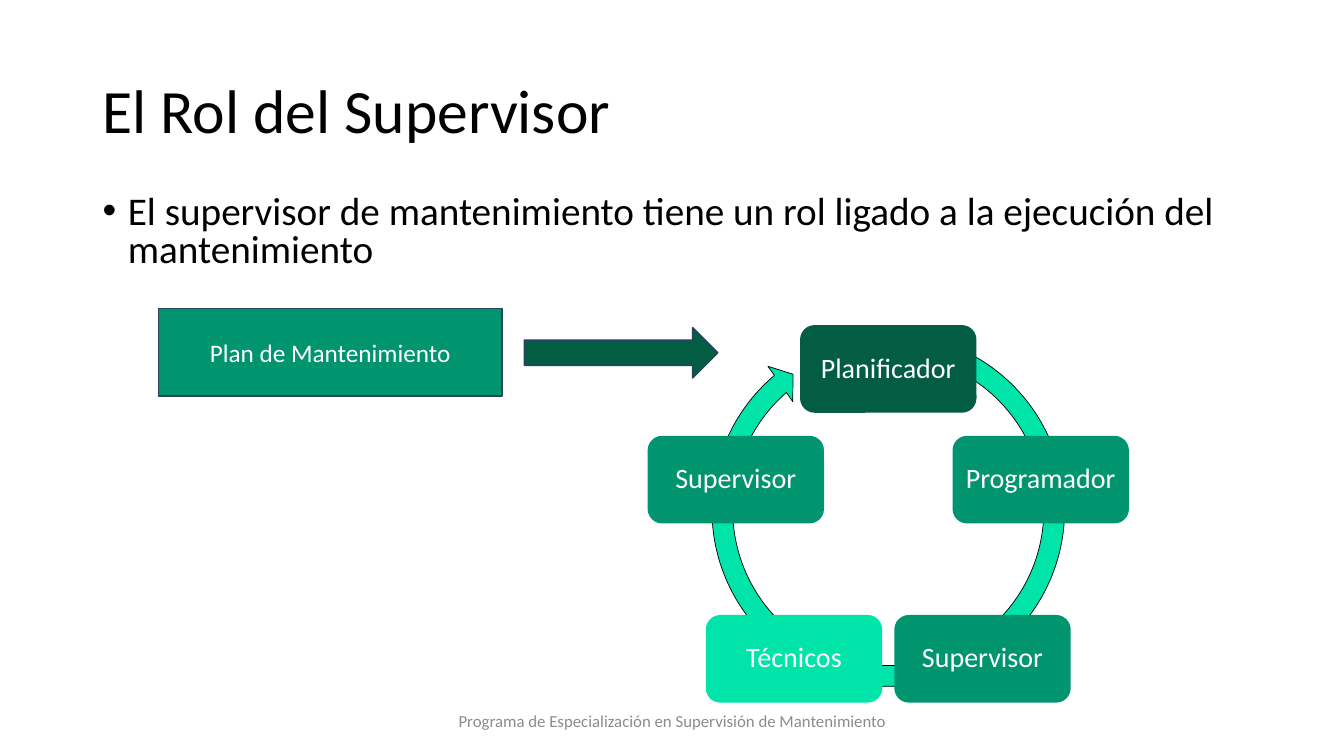
"""Build the slide on the role of the maintenance supervisor."""
import math

import lxml.etree
import pptx
import pptx.dml.color
import pptx.enum.shapes
import pptx.enum.text
import pptx.oxml.ns
import pptx.util

Inches = pptx.util.Inches
SHAPE = pptx.enum.shapes.MSO_SHAPE
ALIGN = pptx.enum.text.PP_ALIGN
ANCHOR = pptx.enum.text.MSO_ANCHOR

THEME = {
    "font": "Calibri",
    "colors": {"dark": "025D43", "green": "01956F", "mint": "00E4AA", "outline": "28445D",
               "black": "000000", "white": "FFFFFF", "gray": "8C8C8C"},
    "sizes": {"title": 44, "body": 28, "role": 20, "plan": 18, "footer": 12},
}

TEXTS = [
    {"text": "Programa de Especialización en Supervisión de Mantenimiento",
     "box": (4.42, 6.95, 4.5, 0.4), "size": "footer", "color": "gray",
     "anchor": ANCHOR.MIDDLE, "format": {"alignment": ALIGN.CENTER}},
    {"text": "El Rol del Supervisor",
     "box": (0.92, 0.4, 11.5, 1.45), "size": "title", "color": "black",
     "anchor": ANCHOR.MIDDLE, "format": {"line_spacing": 0.9}},
    {"text": "El supervisor de mantenimiento tiene un rol ligado a la ejecución del mantenimiento",
     "box": (0.92, 1.89, 11.5, 0.9), "size": "body", "color": "black",
     "anchor": ANCHOR.TOP, "format": {"line_spacing": 0.8}, "bullet": "•"},
]
ROLES = [("Planificador", "dark"), ("Programador", "green"), ("Supervisor", "green"),
         ("Técnicos", "mint"), ("Supervisor", "green")]
CYCLE = {"center": (8.81, 5.25), "radius": 1.59, "card": (1.75, 0.87), "margin": 0.08}
CYCLE_ARROW = {"box": (6.95, 3.2, 3.72, 3.72),
               "adjustments": (5544, 330680, 13767420, 17391200, 5757), "unit": 100000}
PLAN = {"text": "Plan de Mantenimiento", "box": (1.57, 3.06, 3.41, 0.87)}
PLAN_ARROW_BOX = (5.2, 3.25, 1.92, 0.5)


def color(name):
    return pptx.dml.color.RGBColor.from_string(THEME["colors"][name])


def apply(target, values):
    for name, value in values.items():
        setattr(target, name, value)


def add_bullet(paragraph, character):
    properties = paragraph._p.get_or_add_pPr()
    properties.set("marL", str(Inches(0.25)))
    properties.set("indent", str(Inches(-0.25)))
    for tag, name, value in (("a:buFont", "typeface", "Arial"), ("a:buChar", "char", character)):
        bullet = lxml.etree.SubElement(properties, pptx.oxml.ns.qn(tag))
        bullet.set(name, value)


def write(shape, text, size, color_name, anchor, paragraph_format, bullet=None):
    apply(shape.text_frame, {"word_wrap": True, "vertical_anchor": anchor})
    paragraph = shape.text_frame.paragraphs[0]
    paragraph.text = text
    apply(paragraph, paragraph_format)
    if bullet:
        add_bullet(paragraph, bullet)
    apply(paragraph.font, {"name": THEME["font"], "size": pptx.util.Pt(THEME["sizes"][size])})
    paragraph.font.color.rgb = color(color_name)


def add_shape(slide, kind, box, fill, line=None, width=1):
    shape = slide.shapes.add_shape(kind, *map(Inches, box))
    shape.shadow.inherit = False
    shape.fill.solid()
    shape.fill.fore_color.rgb = color(fill)
    if line:
        shape.line.color.rgb = color(line)
        shape.line.width = pptx.util.Pt(width)
    else:
        shape.line.fill.background()
    return shape


def add_cycle(slide):
    arrow = add_shape(slide, SHAPE.CIRCULAR_ARROW, CYCLE_ARROW["box"], "mint", "black", 0.5)
    for index, value in enumerate(CYCLE_ARROW["adjustments"]):
        arrow.adjustments[index] = value / CYCLE_ARROW["unit"]
    center_x, center_y = CYCLE["center"]
    width, height = CYCLE["card"]
    margin = Inches(CYCLE["margin"])
    for index, (role, fill) in enumerate(ROLES):
        angle = 2 * math.pi * index / len(ROLES)
        left = center_x + CYCLE["radius"] * math.sin(angle) - width / 2
        top = center_y - CYCLE["radius"] * math.cos(angle) - height / 2
        card = add_shape(slide, SHAPE.ROUNDED_RECTANGLE, (left, top, width, height), fill)
        apply(card.text_frame, {"margin_left": margin, "margin_right": margin})
        write(card, role, "role", "white", ANCHOR.MIDDLE,
              {"alignment": ALIGN.CENTER, "line_spacing": 0.9})


def main():
    presentation = pptx.Presentation()
    apply(presentation, {"slide_width": Inches(13.33), "slide_height": Inches(7.5)})
    slide = presentation.slides.add_slide(presentation.slide_layouts[6])
    for item in TEXTS:
        box = slide.shapes.add_textbox(*map(Inches, item["box"]))
        write(box, item["text"], item["size"], item["color"], item["anchor"],
              item["format"], item.get("bullet"))
    add_cycle(slide)
    plan = add_shape(slide, SHAPE.RECTANGLE, PLAN["box"], "green", "outline")
    write(plan, PLAN["text"], "plan", "white", ANCHOR.MIDDLE, {"alignment": ALIGN.CENTER})
    add_shape(slide, SHAPE.RIGHT_ARROW, PLAN_ARROW_BOX, "dark", "outline")
    presentation.save("out.pptx")


if __name__ == "__main__":
    main()
